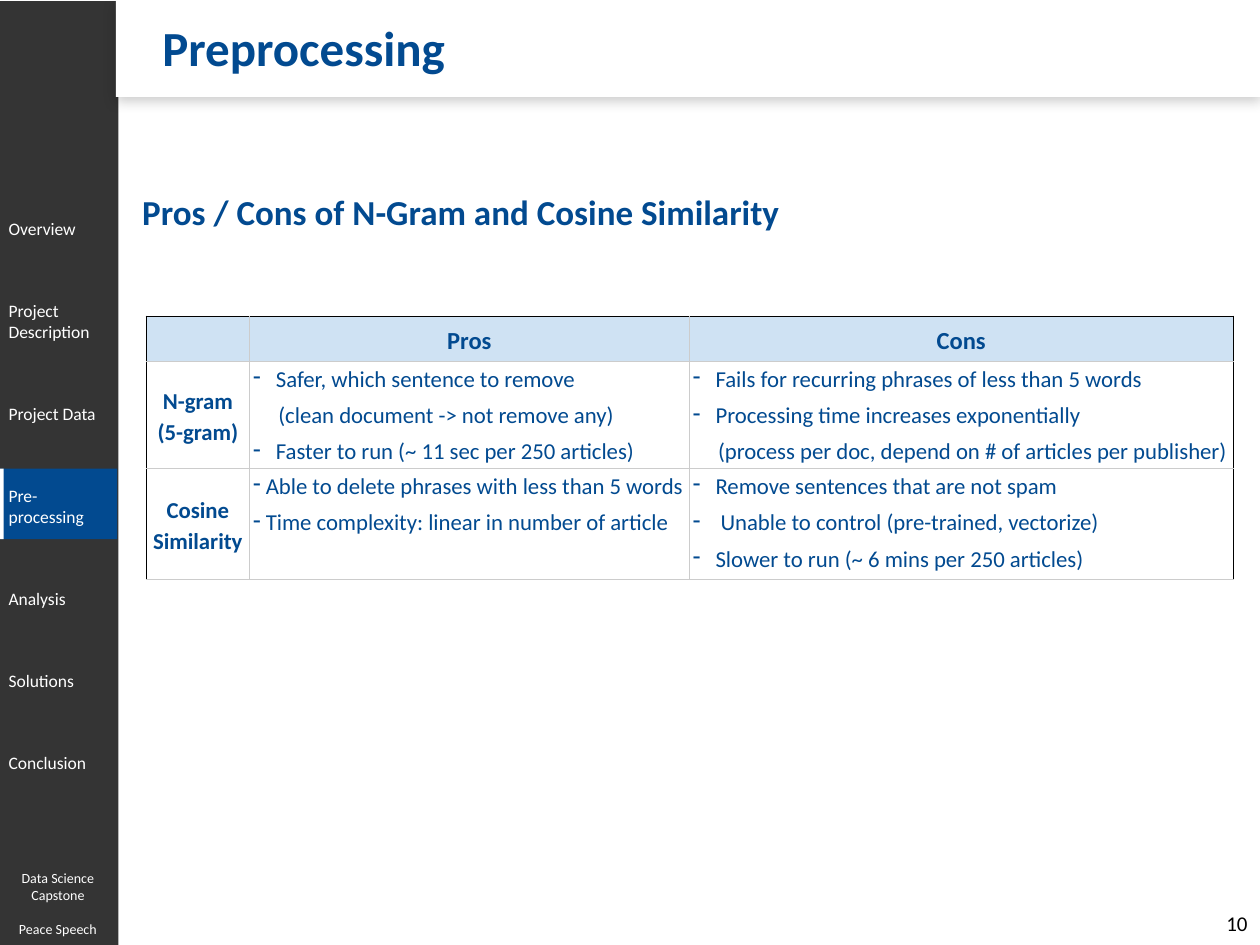
from lxml.etree import SubElement
from pptx import Presentation
from pptx.dml.color import RGBColor
from pptx.enum.shapes import MSO_SHAPE
from pptx.enum.text import MSO_ANCHOR, PP_ALIGN
from pptx.oxml.ns import qn
from pptx.util import Inches, Pt

BLUE, DARK, WHITE, BLACK = "024A90", "343434", "FFFFFF", "000000"
HEADER_FILL, GRID = "CFE2F3", "CCCCCC"


def colour(hex_code):
    return RGBColor.from_string(hex_code)


def add_text(paragraph, text, size=10, color=WHITE, bold=False,
             align=PP_ALIGN.LEFT, before=0, spacing=None):
    paragraph.alignment = align
    paragraph.space_before = Pt(before)
    if spacing:
        paragraph.line_spacing = spacing
    run = paragraph.add_run()
    run.text = text
    run.font.name = "Calibri"
    run.font.size = Pt(size)
    run.font.bold = bold
    run.font.color.rgb = colour(color)


def set_indent(paragraph, indent, dash):
    """Hang a dash bullet by the indent, or indent only the first line."""
    properties = paragraph._p.get_or_add_pPr()
    properties.set("marL", str(Inches(indent if dash else 0)))
    properties.set("indent", str(Inches(-indent if dash else indent)))
    if dash:
        SubElement(properties, qn("a:buChar"), char="-")


def set_borders(cell, **colors):
    properties = cell._tc.get_or_add_tcPr()
    for position, side in enumerate(("L", "R", "T", "B")):
        line = SubElement(properties, qn(f"a:ln{side}"), w=str(Pt(0.75)))
        fill = SubElement(line, qn("a:solidFill"))
        SubElement(fill, qn("a:srgbClr"), val=colors.get(side, GRID))
        properties.remove(line)
        properties.insert(position, line)


class SlideBuilder:
    def __init__(self, slide):
        self.slide = slide

    def rectangle(self, left, top, width, height, fill, shadow=False):
        shape = self.slide.shapes.add_shape(
            MSO_SHAPE.RECTANGLE, Inches(left), Inches(top), Inches(width), Inches(height))
        shape.shadow.inherit = False
        shape.fill.solid()
        shape.fill.fore_color.rgb = colour(fill)
        shape.line.fill.background()
        if shadow:
            effects = shape._element.spPr.find(qn("a:effectLst"))
            outer = SubElement(effects, qn("a:outerShdw"), blurRad=str(Pt(7)),
                               dist=str(Pt(2)), dir="5400000", rotWithShape="0")
            tint = SubElement(outer, qn("a:srgbClr"), val=BLACK)
            SubElement(tint, qn("a:alpha"), val="20000")

    def text(self, left, top, width, height, lines, anchor=MSO_ANCHOR.TOP,
             inset_top=0.05, breaks=(), **style):
        box = self.slide.shapes.add_textbox(
            Inches(left), Inches(top), Inches(width), Inches(height))
        frame = box.text_frame
        frame.word_wrap = True
        frame.vertical_anchor = anchor
        frame.margin_top = Inches(inset_top)
        for i, line in enumerate(lines):
            paragraph = frame.add_paragraph() if i else frame.paragraphs[0]
            add_text(paragraph, line, before=10 if i in breaks else 0, **style)

    def table(self, left, top, widths, heights, rows):
        table = self.slide.shapes.add_table(
            len(heights), len(widths), Inches(left), Inches(top),
            Inches(sum(widths)), Inches(sum(heights))).table
        for column, width in zip(table.columns, widths):
            column.width = Inches(width)
        for row, height in zip(table.rows, heights):
            row.height = Inches(height)
        last = len(widths) - 1
        for r, row in enumerate(rows):
            for c, content in enumerate(row):
                cell = table.cell(r, c)
                self.fill_cell(cell, content, header=r == 0)
                outer = {"L": c == 0, "R": c == last, "T": r == 0}
                set_borders(cell, **{side: BLACK for side, on in outer.items() if on})

    def fill_cell(self, cell, content, header):
        cell.margin_left = cell.margin_right = Inches(0.03)
        cell.margin_top = cell.margin_bottom = Inches(0.03)
        if header:
            cell.fill.solid()
            cell.fill.fore_color.rgb = colour(HEADER_FILL)
        else:
            cell.fill.background()
        frame = cell.text_frame
        if isinstance(content, str):
            cell.vertical_anchor = MSO_ANCHOR.MIDDLE
            add_text(frame.paragraphs[0], content, size=14 if header else 13, color=BLUE,
                     bold=True, align=PP_ALIGN.CENTER, spacing=1.15)
            return
        for i, (line, indent, dash) in enumerate(content):
            paragraph = frame.add_paragraph() if i else frame.paragraphs[0]
            add_text(paragraph, line, size=13, color=BLUE, before=5 if i else 0)
            set_indent(paragraph, indent, dash)


def main():
    prs = Presentation()
    prs.slide_width, prs.slide_height = Inches(10), Inches(7.5)
    page = SlideBuilder(prs.slides.add_slide(prs.slide_layouts[6]))

    # Sidebar, current section marker and title band
    page.rectangle(0, 0.01, 0.94, 7.5, DARK)
    page.rectangle(0, 3.72, 0.93, 0.56, BLUE)
    page.rectangle(0, 3.72, 0.03, 0.56, WHITE)
    page.rectangle(0.92, 0, 9.08, 0.77, WHITE, shadow=True)

    # Section labels, an equal gap apart
    sections = [(["Overview"], 0.27), (["Project", "Description"], 0.44),
                (["Project Data"], 0.27), (["Pre-processing"], 0.44),
                (["Analysis"], 0.27), (["Solutions"], 0.27), (["Conclusion"], 0.27)]
    top = 1.68
    for lines, height in sections:
        page.text(-0.03, top, 0.92, height, lines)
        top += height + 0.38

    # Footer and page number
    page.text(0, 6.84, 0.92, 0.66, ["Data Science", "Capstone", "Peace Speech"],
              anchor=MSO_ANCHOR.MIDDLE, breaks=(2,), size=8, align=PP_ALIGN.CENTER)
    page.text(9.59, 7.16, 0.41, 0.34, ["10"], anchor=MSO_ANCHOR.MIDDLE,
              size=12, color=BLACK, align=PP_ALIGN.RIGHT)

    # Title and heading
    page.text(1.19, 0.09, 4.55, 0.57, ["Preprocessing"], size=28, color=BLUE, bold=True)
    page.text(1.03, 1.07, 8.89, 6, ["Pros / Cons of N-Gram and Cosine Similarity"],
              inset_top=0.44, size=20, color=BLUE, bold=True)

    # Comparison table: each line has its text, indent and whether it has a dash
    page.table(1.16, 2.51, [0.82, 3.49, 4.32], [0.35, 0.85, 0.88], [
        ["", "Pros", "Cons"],
        ["N-gram (5-gram)",
         [("Safer, which sentence to remove", 0.18, True),
          ("(clean document -> not remove any)", 0.2, False),
          ("Faster to run (~ 11 sec per 250 articles)", 0.18, True)],
         [("Fails for recurring phrases of less than 5 words", 0.18, True),
          ("Processing time increases exponentially", 0.18, True),
          ("(process per doc, depend on # of articles per publisher)", 0.2, False)]],
        ["Cosine Similarity",
         [("Able to delete phrases with less than 5 words", 0.1, True),
          ("Time complexity: linear in number of article", 0.1, True)],
         [("Remove sentences that are not spam", 0.18, True),
          ("Unable to control (pre-trained, vectorize)", 0.22, True),
          ("Slower to run (~ 6 mins per 250 articles)", 0.18, True)]],
    ])

    prs.save("out.pptx")


if __name__ == "__main__":
    main()
